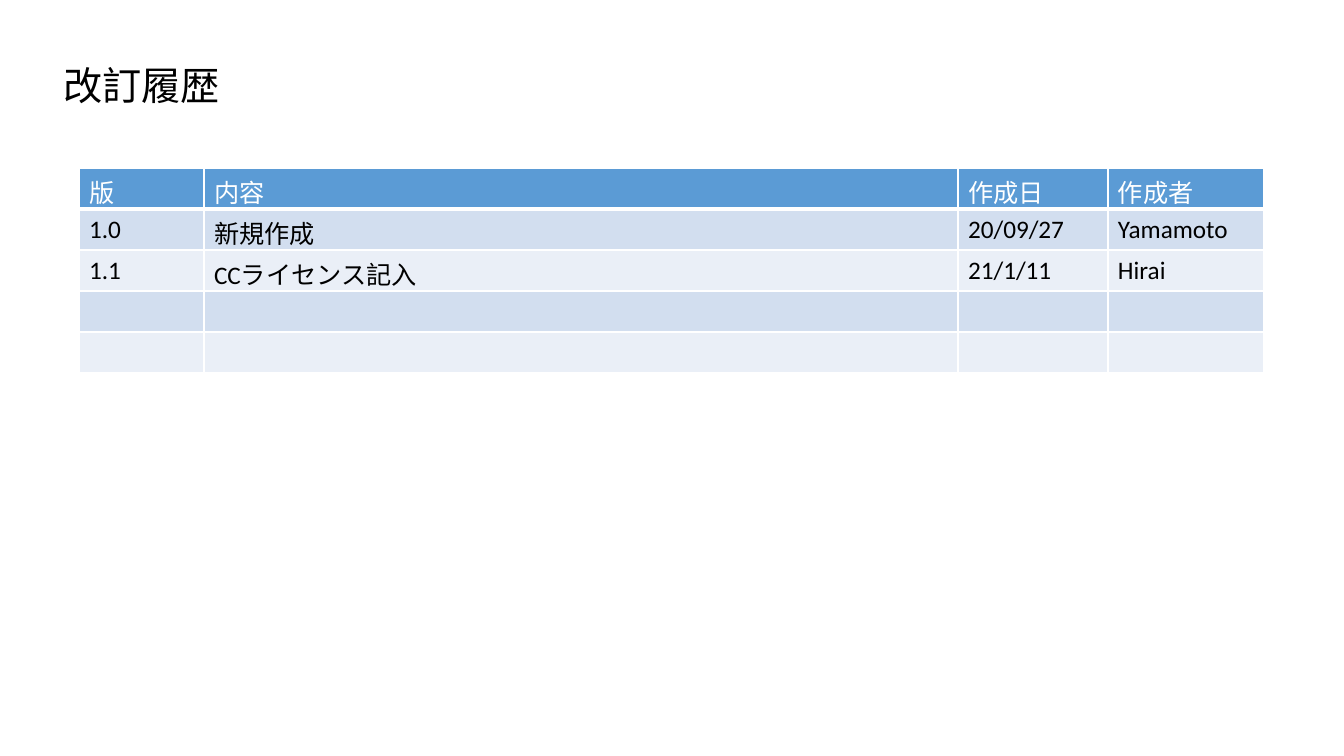
import dataclasses

import lxml.etree
import pptx
import pptx.dml.color
import pptx.enum.text
import pptx.oxml.ns
import pptx.util

EMU_PER_PX = 12192000 / 1344


@dataclasses.dataclass(frozen=True)
class Theme:
    font: str = "Calibri"
    title_size: int = 28
    cell_size: int = 18
    text: str = "000000"
    header_text: str = "FFFFFF"
    header_fill: str = "5B9BD5"
    band_fills: tuple = ("D2DEEF", "EAEFF7")
    border: str = "FFFFFF"
    thin: int = 1
    thick: int = 3


THEME = Theme()


def px(length):
    return pptx.util.Emu(round(length * EMU_PER_PX))


def add_span(para, text, size, color):
    span = para.add_run()
    span.text = text
    span.font.name = THEME.font
    span.font.size = pptx.util.Pt(size)
    span.font.bold = False
    span.font.color.rgb = pptx.dml.color.RGBColor.from_string(color)


deck = pptx.Presentation()
deck.slide_width, deck.slide_height = px(1344), px(756)
page = deck.slides.add_slide(deck.slide_layouts[5])

# Title
title = page.shapes.title
title.left, title.top, title.width, title.height = px(53), px(56), px(178), px(57)
title.text_frame.word_wrap = False
title.text_frame.auto_size = pptx.enum.text.MSO_AUTO_SIZE.SHAPE_TO_FIT_TEXT
title.text_frame.vertical_anchor = pptx.enum.text.MSO_ANCHOR.TOP
title_para = title.text_frame.paragraphs[0]
title_para.alignment = pptx.enum.text.PP_ALIGN.LEFT
add_span(title_para, "改訂履歴", THEME.title_size, THEME.text)

# Revision table
column_widths = [125, 754, 150, 156]
row_height = 41
revisions = [
    ["版", "内容", "作成日", "作成者"],
    ["1.0", "新規作成", "20/09/27", "Yamamoto"],
    ["1.1", "CCライセンス記入", "21/1/11", "Hirai"],
    [""] * 4,
    [""] * 4,
]
table = page.shapes.add_table(
    len(revisions), len(column_widths), px(79), px(168),
    px(sum(column_widths)), px(row_height * len(revisions)),
).table
for column, width in zip(table.columns, column_widths):
    column.width = px(width)

for row_index, texts in enumerate(revisions):
    table.rows[row_index].height = px(row_height)
    is_header = row_index == 0
    fill = THEME.header_fill if is_header else THEME.band_fills[(row_index - 1) % 2]
    color = THEME.header_text if is_header else THEME.text
    # The line under the header is shared by the first two rows.
    border_widths = {
        "a:lnL": THEME.thin,
        "a:lnR": THEME.thin,
        "a:lnT": THEME.thick if row_index == 1 else THEME.thin,
        "a:lnB": THEME.thick if is_header else THEME.thin,
    }
    for column_index, text in enumerate(texts):
        cell = table.cell(row_index, column_index)
        properties = cell._tc.get_or_add_tcPr()
        for tag, width in border_widths.items():
            line = lxml.etree.SubElement(
                properties, pptx.oxml.ns.qn(tag), w=str(pptx.util.Pt(width)))
            line_fill = lxml.etree.SubElement(line, pptx.oxml.ns.qn("a:solidFill"))
            lxml.etree.SubElement(
                line_fill, pptx.oxml.ns.qn("a:srgbClr"), val=THEME.border)
        cell.fill.solid()
        cell.fill.fore_color.rgb = pptx.dml.color.RGBColor.from_string(fill)
        if text:
            add_span(cell.text_frame.paragraphs[0], text, THEME.cell_size, color)

deck.save("out.pptx")
